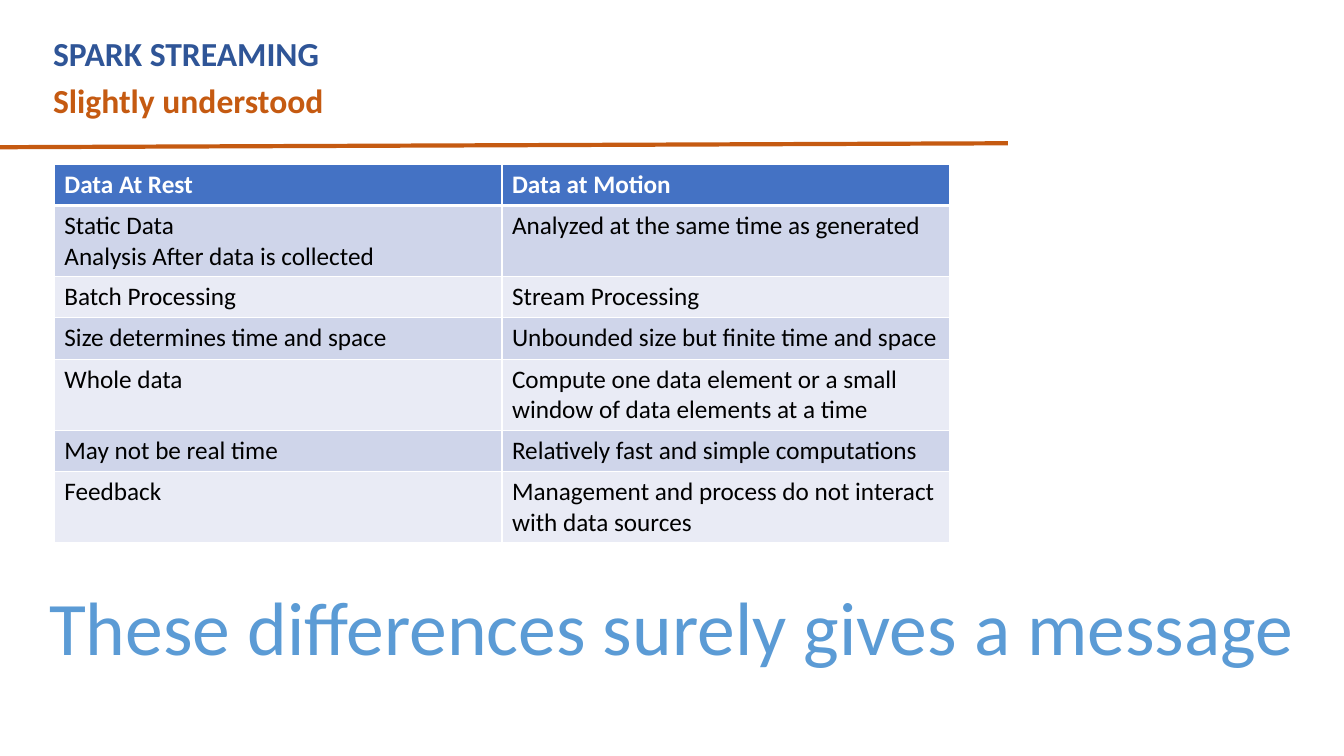
from dataclasses import dataclass

import lxml.etree
import pptx
import pptx.dml.color
import pptx.enum.shapes
import pptx.enum.text
import pptx.oxml.ns
import pptx.util

Cm = pptx.util.Cm
Pt = pptx.util.Pt
ALIGN = pptx.enum.text.PP_ALIGN
ANCHOR = pptx.enum.text.MSO_ANCHOR

FONT = "Calibri"
COLORS = {
    "topic": "2F5597",
    "accent": "C55A11",
    "message": "5B9BD5",
    "header": "4472C4",
    "odd_band": "CFD5EA",
    "even_band": "E9EBF5",
    "white": "FFFFFF",
    "black": "000000",
}


@dataclass(frozen=True)
class Label:
    text: str
    left: float
    top: float
    width: float
    height: float
    size: float
    color: str
    bold: bool = True
    wrap: bool = True
    align: ALIGN = ALIGN.LEFT
    anchor: ANCHOR = ANCHOR.TOP
    line_spacing: float = 1.0


@dataclass(frozen=True)
class Comparison:
    at_rest: str
    in_motion: str
    height: float = 1.04


LABELS = [
    Label("Slightly understood", 1.09, 1.98, 29.54, 1.19, 24, "accent",
          anchor=ANCHOR.MIDDLE, line_spacing=0.9),
    Label("SPARK STREAMING", 1.09, 0.71, 20.83, 1.27, 24, "topic"),
    Label("These differences surely gives a message", 0.81, 14.5, 32.23, 2.57,
          54, "message", bold=False, wrap=False, align=ALIGN.CENTER),
]

TWO_LINES = 1.79
COMPARISONS = [
    Comparison("Data At Rest", "Data at Motion"),
    Comparison("Static Data\nAnalysis After data is collected",
               "Analyzed at the same time as generated", TWO_LINES),
    Comparison("Batch Processing", "Stream Processing"),
    Comparison("Size determines time and space",
               "Unbounded size but finite time and space"),
    Comparison("Whole data",
               "Compute one data element or a small window of data elements at a time",
               TWO_LINES),
    Comparison("May not be real time", "Relatively fast and simple computations"),
    Comparison("Feedback",
               "Management and process do not interact with data sources", TWO_LINES),
]
COLUMN_WIDTH = 11.28


def rgb(name: str) -> pptx.dml.color.RGBColor:
    return pptx.dml.color.RGBColor.from_string(COLORS[name])


def format_text(text_frame, size: float, color: str, bold: bool) -> None:
    for paragraph in text_frame.paragraphs:
        for run in paragraph.runs:
            run.font.name = FONT
            run.font.size = Pt(size)
            run.font.bold = bold
            run.font.color.rgb = rgb(color)


def add_label(slide, label: Label) -> None:
    shape = slide.shapes.add_textbox(
        Cm(label.left), Cm(label.top), Cm(label.width), Cm(label.height))
    text_frame = shape.text_frame
    text_frame.word_wrap = label.wrap
    text_frame.vertical_anchor = label.anchor
    text_frame.text = label.text
    paragraph = text_frame.paragraphs[0]
    paragraph.alignment = label.align
    paragraph.line_spacing = label.line_spacing
    format_text(text_frame, label.size, label.color, label.bold)


def add_rule(slide) -> None:
    connector = slide.shapes.add_connector(
        pptx.enum.shapes.MSO_CONNECTOR.STRAIGHT,
        Cm(-0.1), Cm(3.71), Cm(25.4), Cm(3.61))
    connector.line.color.rgb = rgb("accent")
    connector.line.width = Pt(3)
    lxml.etree.SubElement(
        connector._element.spPr, pptx.oxml.ns.qn("a:effectLst"))


def add_border(cell, side: str, width: float) -> None:
    qn = pptx.oxml.ns.qn
    properties = cell._tc.get_or_add_tcPr()
    line = lxml.etree.SubElement(properties, qn(f"a:ln{side}"), w=str(Pt(width)))
    fill = lxml.etree.SubElement(line, qn("a:solidFill"))
    lxml.etree.SubElement(fill, qn("a:srgbClr"), val=COLORS["white"])


def style_cell(cell, row: int) -> None:
    widths = {"L": 1, "R": 1, "T": 3 if row == 1 else 1, "B": 3 if row == 0 else 1}
    for side, width in widths.items():
        add_border(cell, side, width)
    band = "header" if row == 0 else "odd_band" if row % 2 else "even_band"
    cell.fill.solid()
    cell.fill.fore_color.rgb = rgb(band)
    format_text(cell.text_frame, 18, "white" if row == 0 else "black", row == 0)


def add_comparison_table(slide) -> None:
    total_height = sum(comparison.height for comparison in COMPARISONS)
    table = slide.shapes.add_table(
        len(COMPARISONS), 2, Cm(1.37), Cm(4.14),
        Cm(2 * COLUMN_WIDTH), Cm(total_height)).table
    for column in table.columns:
        column.width = Cm(COLUMN_WIDTH)
    for row, comparison in enumerate(COMPARISONS):
        table.rows[row].height = Cm(comparison.height)
        for column, text in enumerate((comparison.at_rest, comparison.in_motion)):
            cell = table.cell(row, column)
            cell.text_frame.text = text
            style_cell(cell, row)


def main() -> None:
    presentation = pptx.Presentation()
    presentation.slide_width = Cm(33.87)
    presentation.slide_height = Cm(19.05)
    slide = presentation.slides.add_slide(presentation.slide_layouts[6])
    for label in LABELS:
        add_label(slide, label)
    add_rule(slide)
    add_comparison_table(slide)
    presentation.save("out.pptx")


if __name__ == "__main__":
    main()
